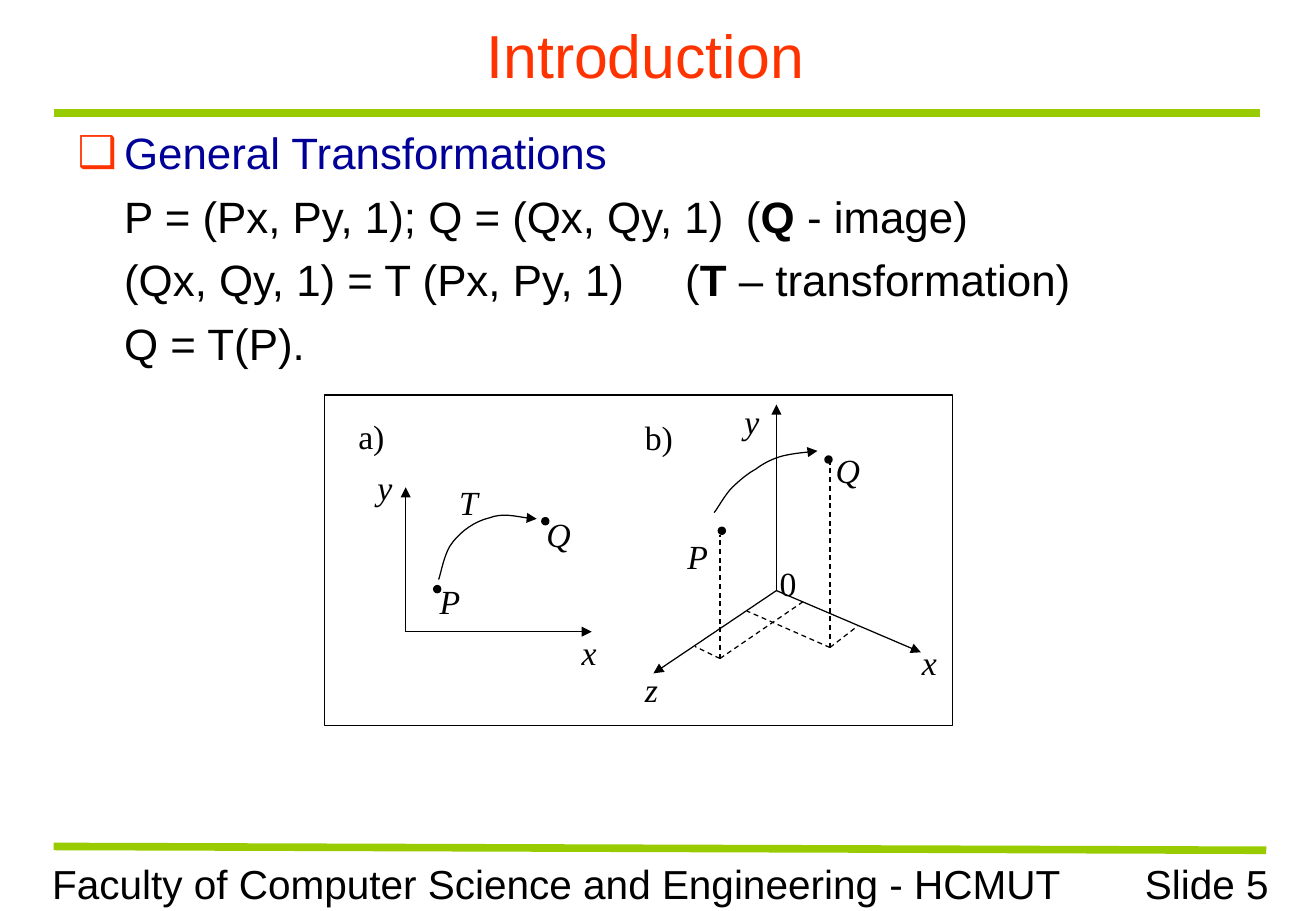
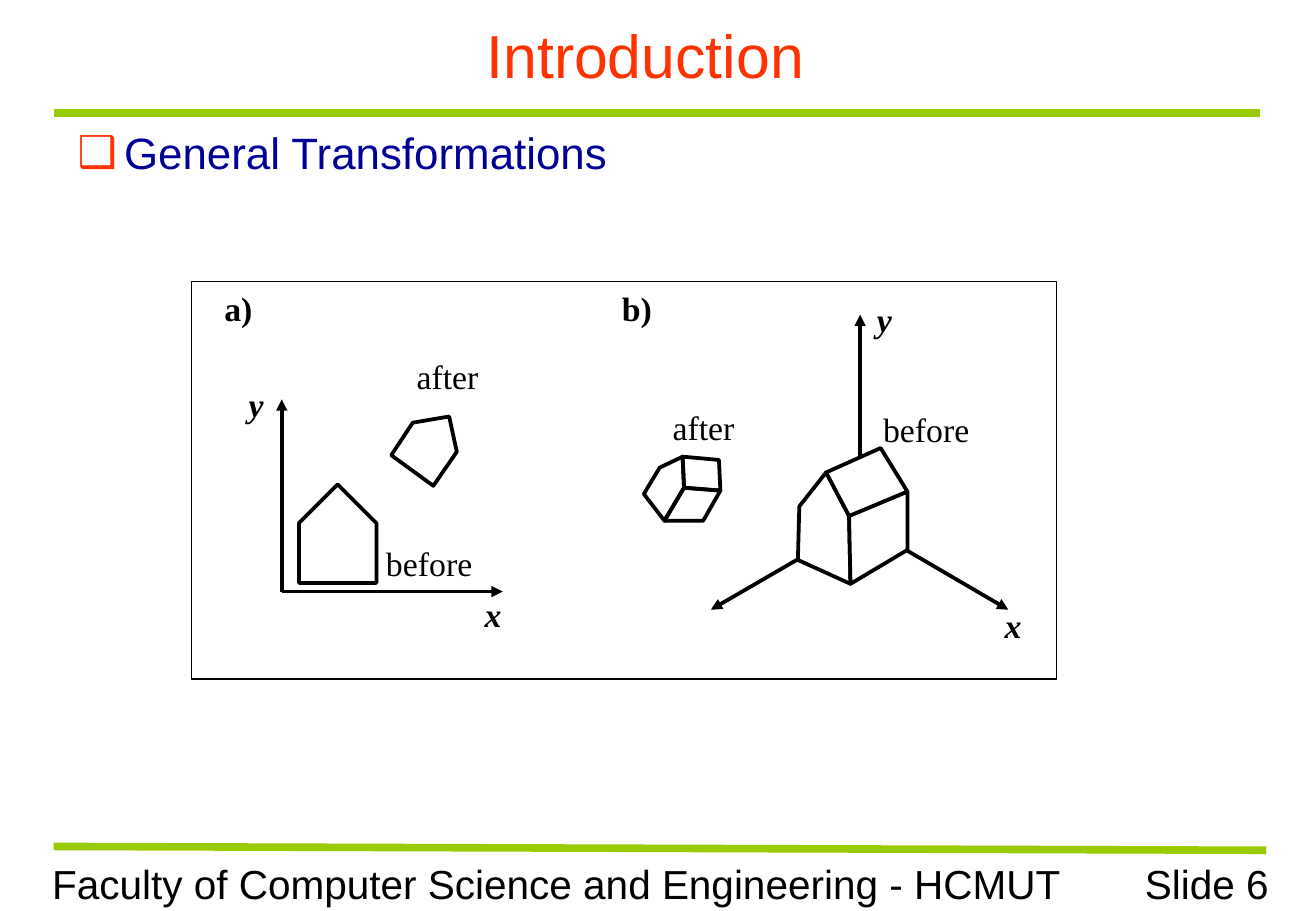
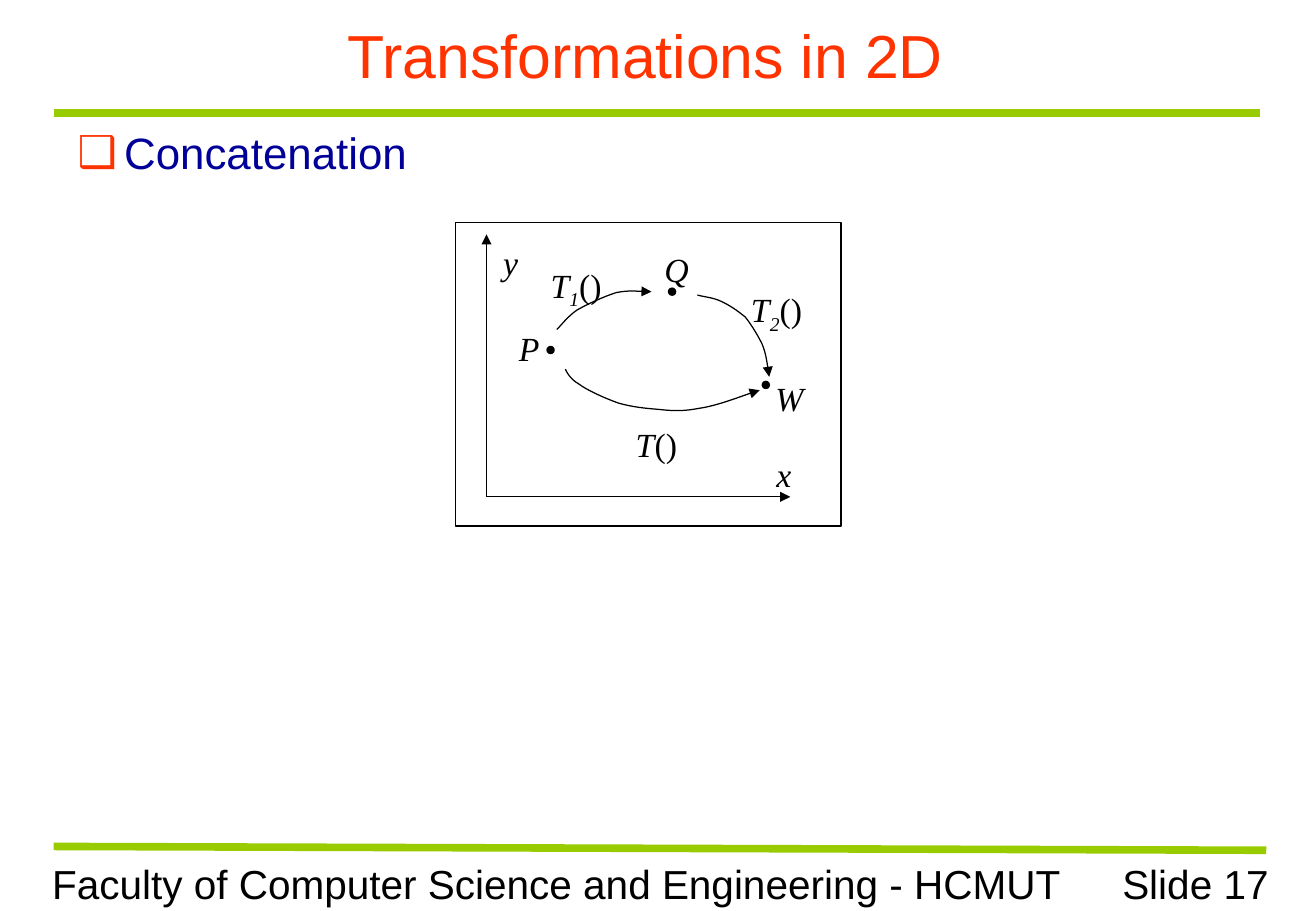
from dataclasses import dataclass

from lxml.etree import SubElement
from pptx import Presentation
from pptx.dml.color import RGBColor as Rgb
from pptx.enum.dml import MSO_LINE as Dash
from pptx.enum.shapes import MSO_CONNECTOR as Link, MSO_SHAPE as Form
from pptx.enum.text import MSO_ANCHOR as Anchor, MSO_AUTO_SIZE as Fit, PP_ALIGN as Align
from pptx.oxml.ns import qn
from pptx.util import Cm, Pt


@dataclass(frozen=True)
class Theme:
    """Colours, fonts and sizes shared by the deck."""
    red: str = "FF3300"
    blue: str = "000099"
    green: str = "99CC00"
    black: str = "000000"
    white: str = "FFFFFF"
    sans: str = "Arial"
    serif: str = "Times New Roman"
    title: float = 36
    body: float = 26
    foot: float = 24
    label: float = 20
    thin: float = 0.75
    bold: float = 2.25
    rule: float = 4.5


T = Theme()


def write(para, text, size=T.label, color=T.black, font=T.serif, bold=False, italic=False, sub=False):
    """Add a formatted run to a paragraph."""
    run = para.add_run()
    run.text = text
    face = run.font
    face.name, face.size, face.bold, face.italic = font, Pt(size), bold, italic
    face.color.rgb = Rgb.from_string(color)
    if sub:
        face._element.set("baseline", "-25000")


def place(shape, left, top, width, height):
    """Set the box of a shape in centimetres."""
    shape.left, shape.top, shape.width, shape.height = map(Cm, (left, top, width, height))


def stroke(shape, color=T.black, width=T.thin, dash=False, arrow=False):
    """Style the line of a shape."""
    line = shape.line
    line.color.rgb = Rgb.from_string(color)
    line.width = Pt(width)
    if dash:
        line.dash_style = Dash.DASH
    if arrow:
        SubElement(line._get_or_add_ln(), qn("a:tailEnd"), type="triangle")


def paint(shape, fill=None):
    """Fill a shape, or leave it clear, and drop its shadow."""
    shape.shadow.inherit = False
    if fill:
        shape.fill.solid()
        shape.fill.fore_color.rgb = Rgb.from_string(fill)
    else:
        shape.fill.background()


def join(shapes, start, end, **style):
    """Draw a straight line between two points."""
    line = shapes.add_connector(Link.STRAIGHT, *map(Cm, (*start, *end)))
    SubElement(line.element.spPr, qn("a:effectLst"))
    stroke(line, **style)
    return line


def textbox(shapes, left, top, width, height):
    """Add a wrapping text box and return it."""
    box = shapes.add_textbox(*map(Cm, (left, top, width, height)))
    box.text_frame.word_wrap = True
    return box


class Pane:
    """A framed figure whose parts are placed from its top left corner."""

    def __init__(self, slide, left, top, width, height, weight=T.thin):
        self.left, self.top, self.weight = left, top, weight
        self.shapes = slide.shapes.add_group_shape().shapes
        frame = self.shapes.add_shape(Form.RECTANGLE, *map(Cm, (left, top, width, height)))
        paint(frame)
        stroke(frame)

    def at(self, point):
        """Turn a point of the pane into a point of the slide."""
        return self.left + point[0], self.top + point[1]

    def line(self, start, end, **style):
        """Draw a line inside the pane."""
        join(self.shapes, self.at(start), self.at(end), width=self.weight, **style)

    def axes(self, origin, *ends):
        """Draw arrows from one origin."""
        for end in ends:
            self.line(origin, end, arrow=True)

    def trace(self, points, closed):
        """Build a freeform through the points."""
        spots = [tuple(map(Cm, self.at(point))) for point in points]
        pen = self.shapes.build_freeform(*spots[0])
        pen.add_line_segments(spots[1:], close=closed)
        return pen.convert_to_shape()

    def face(self, *points, fill=None):
        """Draw a closed outline."""
        shape = self.trace(points, True)
        paint(shape, fill)
        stroke(shape, width=self.weight)

    def curve(self, *points):
        """Draw a Bézier arrow: a start, then two handles and an end per piece."""
        shape = self.trace(points, False)
        steps = shape.element.xpath(".//a:lnTo")
        for i in range(0, len(steps), 3):
            first, *rest = steps[i:i + 3]
            first.tag = qn("a:cubicBezTo")
            for step in rest:
                first.append(step[0])
                step.getparent().remove(step)
        paint(shape)
        stroke(shape, width=self.weight, arrow=True)

    def dots(self, *points, size=0.15):
        """Draw a small disc around each point."""
        for point in points:
            x, y = self.at(point)
            dot = self.shapes.add_shape(Form.OVAL, *map(Cm, (x - size / 2, y - size / 2, size, size)))
            paint(dot, T.black)
            stroke(dot)

    def label(self, text, x, y, width=1.3, sub="", tail="", **style):
        """Write a label with an optional index and upright tail."""
        box = textbox(self.shapes, *self.at((x, y)), width, 1.3)
        para = box.text_frame.paragraphs[0]
        write(para, text, **style)
        if sub:
            write(para, sub, sub=True, **style)
        if tail:
            write(para, tail)

    def names(self, *items, **style):
        """Write several italic labels."""
        for text, x, y in items:
            self.label(text, x, y, italic=True, **style)


def frame(slide, layout):
    """Put the rules and the faculty footer on the layout."""
    for holder in list(layout.placeholders):
        if holder.placeholder_format.idx > 1:
            holder.element.getparent().remove(holder.element)
    place(layout.placeholders[0], 0.84, 0.25, 25.3, 1.78)
    foot = textbox(slide.shapes, 0.84, 17.83, 21.64, 1.27)
    write(foot.text_frame.paragraphs[0], "Faculty of Computer Science and Engineering - HCMUT",
          size=T.foot, font=T.sans)
    rules = [join(slide.shapes, start, end, color=T.green, width=T.rule)
             for start, end in (((1.12, 2.36), (26.34, 2.36)), ((1.12, 17.7), (26.47, 17.78)))]
    for part in (*rules, foot):
        layout.shapes.element.append(part.element)


def head(slide, title, number):
    """Write the title and the slide number."""
    text = slide.shapes.title.text_frame
    text.auto_size, text.vertical_anchor = Fit.NONE, Anchor.MIDDLE
    para = text.paragraphs[0]
    para.alignment = Align.CENTER
    write(para, title, size=T.title, color=T.red, font=T.sans)
    page = textbox(slide.shapes, 21.72, 17.83, 5.05, 1.27).text_frame.paragraphs[0]
    page.alignment = Align.RIGHT
    write(page, f"Slide {number}", size=T.foot, font=T.sans)


def indent(para, bullet=False, stop=None):
    """Set a hanging bullet, or a plain first line with a tab stop."""
    step = Cm(0.97)
    props = para._p.get_or_add_pPr()
    props.set("marL", str(step if bullet else 0))
    props.set("indent", str(-step if bullet else step))
    para.space_before = Pt(0 if bullet else 6.5)
    if bullet:
        SubElement(SubElement(props, qn("a:buClr")), qn("a:srgbClr"), val=T.red)
        SubElement(props, qn("a:buFont"), typeface=T.sans)
        SubElement(props, qn("a:buChar"), char="❑")
    else:
        SubElement(props, qn("a:buNone"))
    if stop:
        SubElement(SubElement(props, qn("a:tabLst")), qn("a:tab"), pos=str(Cm(stop)), algn="l")


def topic(slide, text, lines=(), height=1.9):
    """Write the bulleted topic and the formula lines under it."""
    body = slide.placeholders[1]
    place(body, 1.37, 2.5, 24.77, height)
    body.text_frame.auto_size = Fit.NONE
    para = body.text_frame.paragraphs[0]
    indent(para, bullet=True)
    write(para, text, size=T.body, color=T.blue, font=T.sans)
    for stop, *runs in lines:
        para = body.text_frame.add_paragraph()
        indent(para, stop=stop)
        for i, run in enumerate(runs):
            write(para, run, size=T.body, font=T.sans, bold=i == 1)


def mapping(slide, left, top):
    """Draw a point and its image in the plane and in space."""
    pane = Pane(slide, left, top, 13.13, 6.91)
    pane.axes((1.7, 4.95), (5.59, 4.95), (1.7, 1.93))
    pane.curve((2.39, 3.86), (2.44, 3.73), (2.51, 3.28), (2.69, 3.07), (2.87, 2.84), (3.15, 2.64),
               (3.45, 2.57), (3.73, 2.46), (4.24, 2.59), (4.44, 2.59))
    pane.axes((9.45, 4.09), (9.45, 0.2), (12.47, 5.38), (6.88, 5.82))
    feet = {(8.27, 5.51): ((10.01, 4.32), (7.75, 5.26), (8.27, 2.92)),
            (10.57, 5.28): ((8.84, 4.52), (11.15, 4.83), (10.57, 1.42))}
    for foot, ends in feet.items():
        for end in ends:
            pane.line(foot, end, dash=True)
    pane.curve((8.15, 2.46), (8.23, 2.36), (8.38, 2.08), (8.53, 1.93), (8.69, 1.78), (8.84, 1.65),
               (9.02, 1.55), (9.19, 1.42), (9.4, 1.32), (9.6, 1.27), (9.83, 1.22), (10.16, 1.19),
               (10.31, 1.17))
    pane.names(("x", 5.13, 4.83), ("y", 0.86, 1.37), ("x", 12.24, 5.03), ("y", 8.53, 0),
               ("z", 6.45, 5.61), ("P", 2.16, 3.76), ("Q", 4.39, 2.36), ("T", 2.57, 1.7),
               ("P", 7.34, 2.82), ("Q", 10.44, 1.02))
    pane.label("0", 9.27, 3.38)
    pane.label("a)", 0.46, 0.3)
    pane.label("b)", 6.45, 0.33)
    pane.dots((2.36, 4.06), (4.62, 2.64), (8.31, 2.84), (10.54, 1.35))


def houses(slide, left, top):
    """Draw a house before and after a transformation."""
    pane = Pane(slide, left, top, 18.08, 8.31, weight=T.bold)
    pane.axes((1.88, 6.48), (6.5, 6.48), (1.88, 2.46))
    pane.face((2.24, 6.3), (2.24, 5.05), (3.05, 4.24), (3.86, 5.05), (3.86, 6.3))
    pane.face((4.17, 3.63), (4.62, 2.95), (5.38, 2.82), (5.54, 3.56), (5.05, 4.27))
    pane.axes((13.97, 5.05), (13.97, 0.69), (17.07, 6.86), (10.85, 6.86))
    solid(pane, (9.78, 3.89), (9.45, 4.44), (9.88, 5), (10.29, 4.31), (10.26, 3.66),
          ((10.26, 3.66), (11.02, 3.73), (11.05, 4.37), (10.29, 4.31)),
          ((9.88, 5), (10.69, 5), (11.05, 4.37), (10.29, 4.31)))
    solid(pane, (13.26, 3.99), (12.7, 4.7), (12.67, 5.82), (13.77, 6.32), (13.74, 4.9),
          ((13.74, 4.9), (14.96, 4.39), (14.96, 5.61), (13.77, 6.32)),
          ((13.26, 3.99), (14.4, 3.48), (14.96, 4.39), (13.74, 4.9)), fill=T.white)
    pane.names(("x", 5.87, 6.4), ("y", 0.94, 2.01), ("x", 16.74, 6.63), ("y", 14.07, 0.23), bold=True)
    for text, x, y in (("before", 3.81, 5.33), ("after", 4.45, 1.42),
                       ("after", 9.8, 2.49), ("before", 14.2, 2.54)):
        pane.label(text, x, y, width=2.6)
    pane.label("a)", 0.43, 0, bold=True)
    pane.label("b)", 8.74, 0, bold=True)


def solid(pane, *parts, fill=None):
    """Draw a house in space: five gable corners and two more faces."""
    for points in (parts[:5], *parts[5:]):
        pane.face(*points, fill=fill)


def chain(slide, left, top):
    """Draw two transformations in a row and their single equal."""
    pane = Pane(slide, left, top, 8.05, 6.35)
    pane.axes((0.64, 5.74), (6.99, 5.74), (0.64, 0.25))
    pane.curve((2.29, 3.07), (2.31, 3.12), (2.39, 3.28), (2.57, 3.38), (2.74, 3.51), (3.12, 3.68),
               (3.4, 3.78), (3.68, 3.86), (3.96, 3.89), (4.22, 3.91), (4.5, 3.94), (4.72, 3.96),
               (5.08, 3.89), (5.44, 3.84), (6.12, 3.58), (6.35, 3.51))
    pane.curve((2.11, 2.24), (2.18, 2.18), (2.34, 1.96), (2.54, 1.83), (2.77, 1.7), (3.1, 1.55),
               (3.35, 1.47), (3.61, 1.42), (3.94, 1.45), (4.09, 1.45))
    pane.curve((5.05, 1.52), (5.13, 1.55), (5.38, 1.57), (5.54, 1.65), (5.72, 1.73), (5.89, 1.85),
               (6.05, 1.98), (6.17, 2.13), (6.3, 2.34), (6.4, 2.54), (6.48, 2.74), (6.53, 3.07),
               (6.55, 3.23))
    pane.names(("x", 6.45, 4.72), ("y", 0.74, 0.28), ("P", 1.07, 2.08), ("Q", 4.11, 0.43),
               ("W", 6.43, 3.12))
    for sub, x, y in (("2", 5.92, 1.27), ("1", 1.73, 0.76), ("", 3.51, 4.09)):
        pane.label("T", x, y, width=2.1, sub=sub, tail="()", italic=True)
    pane.dots((1.98, 2.67), (4.52, 1.45), (6.48, 3.4))


def main():
    """Build and save the deck."""
    deck = Presentation()
    deck.slide_width, deck.slide_height = Cm(27.51), Cm(19.05)
    layout = deck.slide_layouts[1]
    first, second, third = (deck.slides.add_slide(layout) for _ in range(3))
    frame(first, layout)

    head(first, "Introduction", 5)
    topic(first, "General Transformations", height=15.04, lines=(
        (14.25, "P = (Px, Py, 1); Q = (Qx, Qy, 1)\t(", "Q ", "- image)"),
        (14.45, "(Qx, Qy, 1) = T (Px, Py, 1)\t(", "T", " – transformation)"),
        (None, "Q = T(P).")))
    mapping(first, 6.78, 8.26)

    head(second, "Introduction", 6)
    topic(second, "General Transformations")
    houses(second, 4.01, 5.89)

    head(third, "Transformations in 2D", 17)
    topic(third, "Concatenation")
    chain(third, 9.53, 4.65)
    deck.save("out.pptx")


if __name__ == "__main__":
    main()
